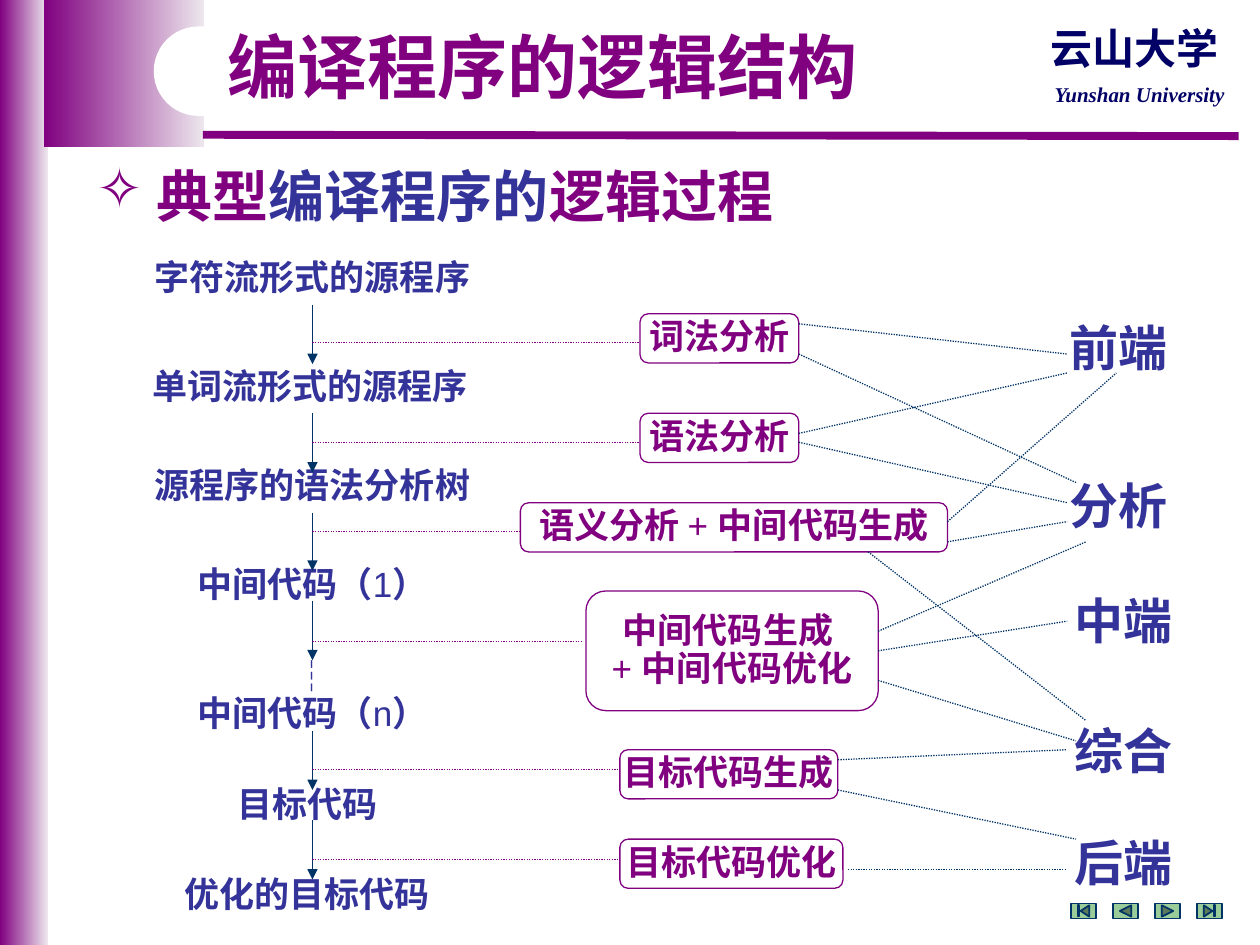
from lxml import etree
from pptx import Presentation
from pptx.dml.color import RGBColor
from pptx.enum import dml, shapes, text
from pptx.oxml import ns
from pptx.util import Inches, Pt

PURPLE, BLUE, NAVY, TEAL = "800080", "333399", "000066", "003366"
GREEN, PALE, WHITE = "99CC99", "EDE7ED", "FFFFFF"
CJK = "Noto Sans CJK SC"
KIND = shapes.MSO_SHAPE


def rgb(code):
    return RGBColor.from_string(code)


def sub(node, tag, **attrs):
    return etree.SubElement(node, ns.qn(tag), attrs)


class Deck:
    """Holds the style and the current slide."""

    def __init__(self):
        self.file = Presentation()
        self.file.slide_width, self.file.slide_height = Inches(10), Inches(7.5)
        self.slide = self.file.slides.add_slide(self.file.slide_layouts[5])
        self.items = self.slide.shapes

    def para(self, par, runs, size, color, face="Arial", space=0.9, italic=False):
        """A run is a string, or (string, False for light or a colour)."""
        par.alignment, par.line_spacing = text.PP_ALIGN.CENTER, space
        font = par.font
        font.size, font.bold, font.italic = Pt(size), True, italic
        font.color.rgb, font.name = rgb(color), face
        sub(font._element, "a:ea", typeface=CJK)
        for part in runs:
            words, change = (part, None) if isinstance(part, str) else part
            run = par.add_run()
            run.text = words
            if change is False:
                run.font.bold = False
            elif change:
                run.font.color.rgb = rgb(change)

    def title(self, words, box):
        hold = self.items.title
        # Bring the title in front of the shapes drawn so far
        self.items._spTree.append(hold._element)
        hold.left, hold.top, hold.width, hold.height = map(Inches, box)
        frame = hold.text_frame
        frame.auto_size = text.MSO_AUTO_SIZE.NONE
        frame.vertical_anchor = text.MSO_ANCHOR.TOP
        self.para(frame.paragraphs[0], [words], 40, PURPLE)

    def label(self, box, runs, size=20, color=BLUE, wrap=False, **style):
        item = self.items.add_textbox(*map(Inches, box))
        item.text_frame.word_wrap = wrap
        self.para(item.text_frame.paragraphs[0], runs, size, color, **style)
        return item

    def shape(self, kind, box, fill, line=None, width=0.75):
        item = self.items.add_shape(kind, *map(Inches, box))
        item.shadow.inherit = False
        if isinstance(fill, tuple):
            item.fill.gradient()
            item.fill.gradient_angle = 0
            for stop, code in zip(item.fill.gradient_stops, fill):
                stop.color.rgb = rgb(code)
        else:
            item.fill.solid()
            item.fill.fore_color.rgb = rgb(fill)
        if line:
            item.line.color.rgb, item.line.width = rgb(line), Pt(width)
        else:
            item.line.fill.background()
        return item

    def phase(self, box, rows):
        item = self.shape(KIND.ROUNDED_RECTANGLE, box, WHITE, PURPLE)
        frame = item.text_frame
        frame.word_wrap, frame.vertical_anchor = False, text.MSO_ANCHOR.MIDDLE
        for num, runs in enumerate(rows):
            par = frame.add_paragraph() if num else frame.paragraphs[0]
            self.para(par, runs, 20, PURPLE)
        return item

    def line(self, ends, color=TEAL, width=0.75, dots=True, arrow=False, join=None):
        item = self.items.add_connector(
            shapes.MSO_CONNECTOR.STRAIGHT, *map(Inches, ends))
        item.line.color.rgb, item.line.width = rgb(color), Pt(width)
        if dots:
            item.line.dash_style = dml.MSO_LINE.ROUND_DOT
        if arrow:
            sub(item.line._get_or_add_ln(), "a:tailEnd", type="triangle")
        sub(item._element.spPr, "a:effectLst")
        if join:
            item.begin_connect(*join)


def main():
    deck = Deck()

    # Side band, corner and title rule
    for box in [(0, 0, 0.38, 7.5), (0.35, 0, 1.27, 1.17)]:
        deck.shape(KIND.RECTANGLE, box, (PURPLE, PALE))
    deck.line((1.61, 1.07, 9.83, 1.08), PURPLE, 4.5, dots=False)
    pill = deck.shape(KIND.ROUNDED_RECTANGLE, (1.22, 0.21, 3.62, 0.71), WHITE)
    pill.adjustments[0] = 0.5

    # School name
    deck.label((8.23, 0.6, 1.63, 0.3), ["Yunshan University"], 12, NAVY,
               face="Times New Roman", space=1, italic=True)
    deck.label((8.23, 0.13, 1.55, 0.5), ["云山大学"], 24, NAVY, face=CJK, space=1)

    # Navigation buttons
    keys = [KIND.ACTION_BUTTON_BEGINNING, KIND.ACTION_BUTTON_BACK_OR_PREVIOUS,
            KIND.ACTION_BUTTON_FORWARD_OR_NEXT, KIND.ACTION_BUTTON_END]
    for num, key in enumerate(keys):
        deck.shape(key, (8.5 + num / 3, 7.17, 0.2, 0.12), GREEN, TEAL, 1)

    # Title and bulleted heading
    deck.title("编译程序的逻辑结构", (1.65, 0.21, 5.31, 0.7))
    head = deck.label((0.67, 1.23, 5.79, 0.63),
                      [" 典型", ("编译程序的", BLUE), "逻辑过程"],
                      32, PURPLE, wrap=True, space=1)
    par = head.text_frame.paragraphs[0]
    par.alignment = text.PP_ALIGN.LEFT
    props = par._p.get_or_add_pPr()
    tint = etree.Element(ns.qn("a:buClr"))
    sub(tint, "a:srgbClr", val=PURPLE)
    mark = etree.Element(ns.qn("a:buChar"), char="✧")
    for node in (tint, mark):
        props.find(ns.qn("a:defRPr")).addprevious(node)

    # Phases of the compiler
    deck.phase((5.08, 2.49, 1.26, 0.39), [["词法分析"]])
    deck.phase((5.08, 3.28, 1.26, 0.39), [["语法分析"]])
    deck.phase((4.13, 3.99, 3.39, 0.39),
               [["语义分析 ", ("+ ", False), "中间代码生成"]])
    middle = deck.phase((4.65, 4.69, 2.32, 0.95),
                        [["中间代码生成 "], [("+ ", False), "中间代码优化"]])
    deck.phase((4.92, 5.95, 1.73, 0.39), [["目标代码生成"]])
    deck.phase((4.92, 6.66, 1.77, 0.39), [["目标代码优化"]])

    # Forms of the program, top to bottom
    forms = [
        (1.06, 2.02, 2.84, ["字符流形式的源程序"]),
        (1.1, 2.88, 2.72, ["单词流形式的源程序"]),
        (1.06, 3.67, 2.84, ["源程序的语法分析树"]),
        (1.06, 4.45, 2.84, ["中间代码（", ("1", False), "）"]),
        (1.77, 6.2, 1.34, ["目标代码"]),
        (1.3, 6.91, 2.28, ["优化的目标代码"]),
    ]
    steps = [deck.label((left, top, wide, 0.4), runs, wrap=True)
             for left, top, wide, runs in forms]
    last = deck.label((1.06, 5.18, 2.84, 0.7), ["┆"], face=CJK, wrap=True)
    deck.para(last.text_frame.add_paragraph(),
              ["中间代码（", ("n", False), "）"], 20, BLUE)

    # Arrows down the spine, with a dotted branch to each phase
    spine = 2.48
    joins = {0: (steps[0], 2), 2: (steps[2], 2)}
    for num, top in enumerate([2.42, 3.28, 4.06, 4.77, 5.8, 6.51]):
        deck.line((spine, top, spine, top + 0.47), dots=False, arrow=True,
                  join=joins.get(num))
    for high, end in [(2.72, 5.08), (3.51, 5.08), (4.22, 4.13),
                      (5.09, 4.61), (6.11, 4.92), (6.82, 4.92)]:
        deck.line((spine, high, end, high), PURPLE)

    # Groups on the right
    for left, top, name in [(8.39, 2.52, "前端"), (8.39, 3.78, "分析"),
                            (8.43, 4.69, "中端"), (8.43, 5.72, "综合"),
                            (8.43, 6.61, "后端")]:
        deck.label((left, top, 0.98, 0.52), [name], 28)

    # Dotted links from phases to groups
    for ends in [
        (6.34, 2.57, 8.47, 2.81), (6.34, 3.44, 8.47, 2.96), (7.52, 4.14, 8.86, 2.96),
        (6.34, 2.81, 8.54, 3.83), (6.34, 3.51, 8.47, 3.99), (7.52, 4.3, 8.47, 4.14),
        (6.97, 5.01, 8.62, 4.3), (6.89, 4.38, 8.62, 5.72), (6.97, 5.4, 8.54, 5.88),
        (6.65, 6.03, 8.47, 5.95), (6.65, 6.27, 8.54, 6.66), (6.73, 6.9, 8.47, 6.9),
    ]:
        deck.line(ends)
    deck.line((6.97, 5.17, 8.47, 4.93), join=(middle, 3))

    deck.file.save("out.pptx")


if __name__ == "__main__":
    main()
